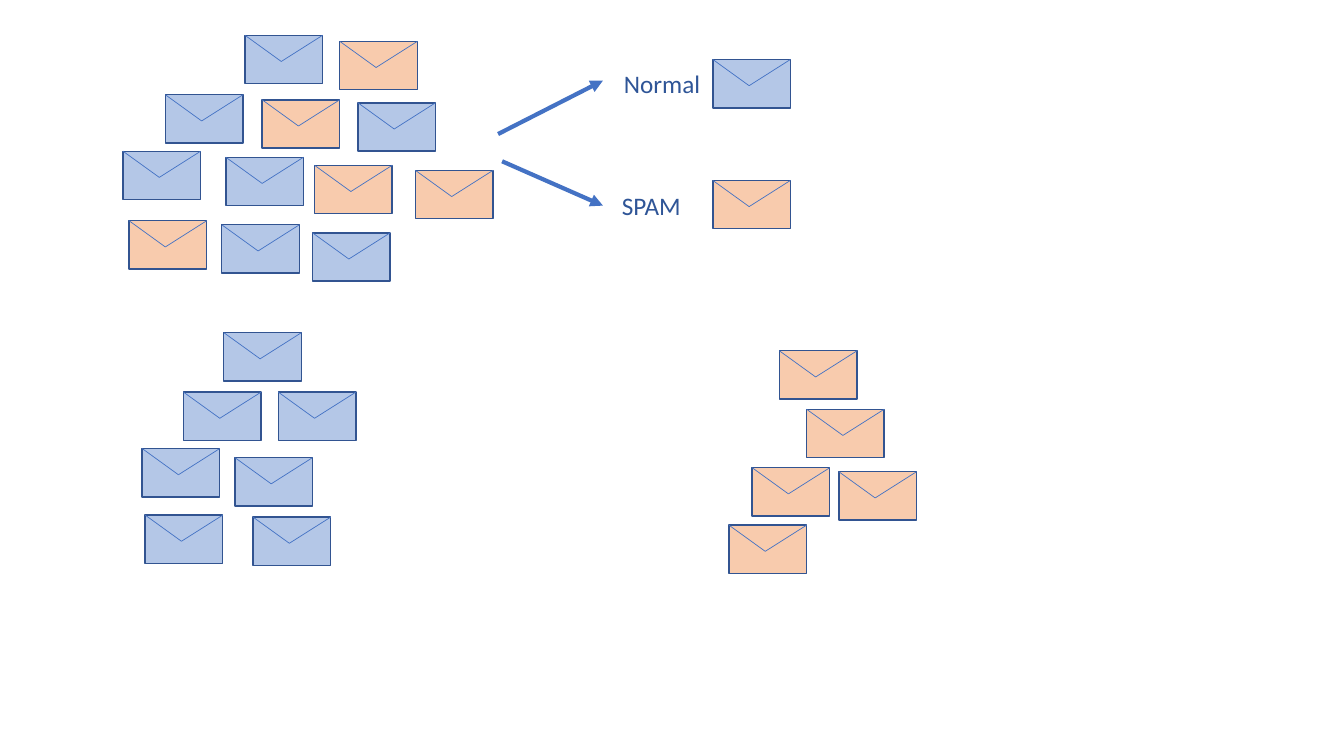
from lxml import etree
from pptx import Presentation
from pptx.dml.color import RGBColor
from pptx.enum.shapes import MSO_CONNECTOR, MSO_SHAPE
from pptx.enum.text import MSO_AUTO_SIZE
from pptx.oxml.ns import qn
from pptx.util import Inches, Pt

STRAIGHT = MSO_CONNECTOR.STRAIGHT
RECTANGLE = MSO_SHAPE.RECTANGLE
FIT_SHAPE = MSO_AUTO_SIZE.SHAPE_TO_FIT_TEXT

NORMAL, SPAM = "B4C7E7", "F8CBAD"
OUTLINE, ACCENT, LABEL = "325491", "4472C4", "2F5597"
ENVELOPE_WIDTH, ENVELOPE_HEIGHT = 0.77, 0.48
FLAP_X, FLAP_Y = 0.36, 0.26

MIXED_MAIL = [
    (0, 1.15, NORMAL), (2.33, 0.67, NORMAL), (2.15, 0.06, SPAM),
    (1.38, 0.64, SPAM), (2.9, 1.34, SPAM), (0.06, 1.84, SPAM),
    (1.9, 1.29, SPAM), (0.42, 0.59, NORMAL), (1.02, 1.21, NORMAL),
    (1.88, 1.96, NORMAL), (0.98, 1.88, NORMAL), (1.21, 0, NORMAL),
]
NORMAL_MAIL = [
    (x, y, NORMAL) for x, y in [
        (0, 1.15), (1.35, 0.59), (0.41, 0.59), (0.92, 1.24),
        (1.1, 1.83), (0.03, 1.81), (0.81, 0),
    ]
]
SPAM_MAIL = [
    (x, y, SPAM) for x, y in [
        (0.5, 0), (0.77, 0.58), (1.09, 1.2), (0, 1.73), (0.23, 1.16),
    ]
]
CLASSES = [
    ("Normal", NORMAL, (0, 0.74, 1.04, 0.21), (1.15, 0.04, 0.97), 0),
    ("SPAM", SPAM, (0.04, 1.01, 1.04, 1.45), (1.13, 1.25, 0.79), 1.2),
]


def color(value):
    return RGBColor.from_string(value)


def set_attributes(target, values):
    for name, value in values.items():
        setattr(target, name, value)


def add_line(shapes, start, end, width):
    line = shapes.add_connector(STRAIGHT, *map(Inches, (*start, *end)))
    line.line.color.rgb = color(ACCENT)
    line.line.width = Pt(width)
    etree.SubElement(line._element.spPr, qn("a:effectLst"))
    return line


def add_arrow(shapes, start, end):
    arrow = add_line(shapes, start, end, 3)
    outline = arrow.line._get_or_add_ln()
    etree.SubElement(outline, qn("a:tailEnd"), type="triangle")


def add_envelope(slide, left, top, fill):
    shapes = slide.shapes.add_group_shape().shapes
    body = shapes.add_shape(
        RECTANGLE, *map(Inches, (left, top, ENVELOPE_WIDTH, ENVELOPE_HEIGHT)))
    body.shadow.inherit = False
    body.fill.solid()
    body.fill.fore_color.rgb = color(fill)
    body.line.color.rgb = color(OUTLINE)
    body.line.width = Pt(1)
    flap_tip = (left + FLAP_X, top + FLAP_Y)
    for corner in (left, left + ENVELOPE_WIDTH):
        add_line(shapes, (corner, top), flap_tip, 0.5)


def add_label(slide, left, top, width, text):
    label = slide.shapes.add_textbox(*map(Inches, (left, top, width, 0.4)))
    set_attributes(label.text_frame, {"word_wrap": False, "auto_size": FIT_SHAPE})
    run = label.text_frame.paragraphs[0].add_run()
    run.text = text
    set_attributes(run.font, {"name": "Calibri", "size": Pt(18)})
    run.font.color.rgb = color(LABEL)


def add_pile(slide, left, top, envelopes):
    for x, y, fill in envelopes:
        add_envelope(slide, left + x, top + y, fill)


def add_classes(slide, left, top):
    for text, fill, (x1, y1, x2, y2), (x, y, width), envelope_y in CLASSES:
        add_arrow(slide.shapes, (left + x1, top + y1), (left + x2, top + y2))
        add_label(slide, left + x, top + y, width, text)
        add_envelope(slide, left + 2.13, top + envelope_y, fill)


def main():
    presentation = Presentation()
    presentation.slide_width = Inches(13.33)
    presentation.slide_height = Inches(7.5)
    slide = presentation.slides.add_slide(presentation.slide_layouts[6])
    add_pile(slide, 1.22, 0.35, MIXED_MAIL)
    add_classes(slide, 4.94, 0.59)
    add_pile(slide, 1.41, 3.3, NORMAL_MAIL)
    add_pile(slide, 7.23, 3.48, SPAM_MAIL)
    presentation.save("out.pptx")


if __name__ == "__main__":
    main()
